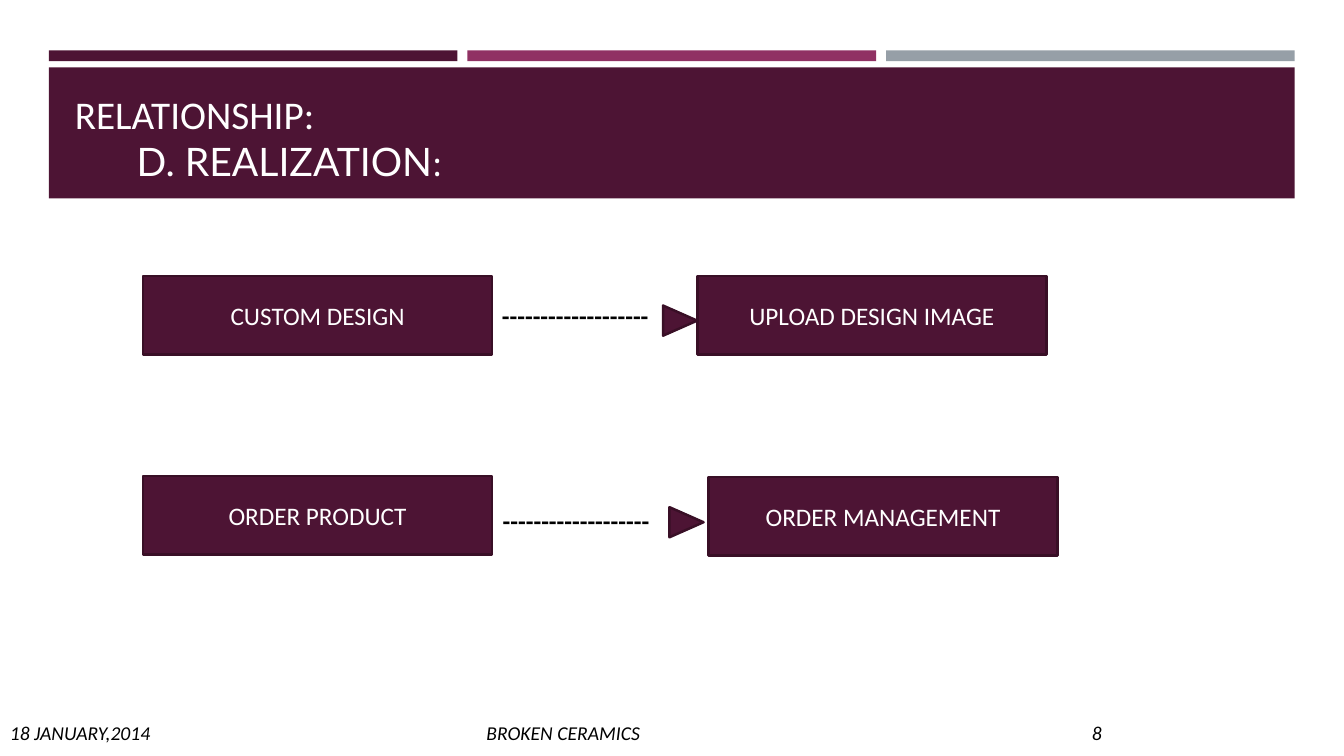
import pptx
import pptx.util
import pptx.dml.color
import pptx.enum.shapes
import pptx.enum.text
import pptx.oxml
import pptx.oxml.ns

Cm, Pt = pptx.util.Cm, pptx.util.Pt
MSO_SHAPE = pptx.enum.shapes.MSO_SHAPE
PP_ALIGN = pptx.enum.text.PP_ALIGN
MSO_ANCHOR = pptx.enum.text.MSO_ANCHOR
MSO_AUTO_SIZE = pptx.enum.text.MSO_AUTO_SIZE

COLORS = {
    "plum": "4D1434",
    "outline": "390F26",
    "magenta": "903163",
    "grey": "969FA7",
    "white": "FFFFFF",
    "black": "000000",
}


def rgb(name):
    return pptx.dml.color.RGBColor.from_string(COLORS[name])


def style(r, size, color, font="Calibri", bold=False, italic=False):
    r.font.size = Pt(size)
    r.font.name = font
    r.font.color.rgb = rgb(color)
    r.font.bold = bold
    r.font.italic = italic


def add_block(s, kind, x, y, w, h, fill, line=None):
    sp = s.shapes.add_shape(kind, Cm(x), Cm(y), Cm(w), Cm(h))
    sp.shadow.inherit = False
    sp.fill.solid()
    sp.fill.fore_color.rgb = rgb(fill)
    if line:
        sp.line.color.rgb = rgb(line)
        sp.line.width = Pt(1.75)
    else:
        sp.line.fill.background()
    return sp


def add_text(s, x, y, w, h, text, size, **look):
    sp = s.shapes.add_textbox(Cm(x), Cm(y), Cm(w), Cm(h))
    tf = sp.text_frame
    tf.word_wrap = True
    tf.text = text
    style(tf.paragraphs[0].runs[0], size, "black", **look)
    return tf.paragraphs[0]


def add_header(s, x, y, w):
    gap = 0.25
    bar_w = (w - 2 * gap) / 3
    title = s.shapes.title
    parts = [
        add_block(s, MSO_SHAPE.RECTANGLE, x + i * (bar_w + gap), y, bar_w, 0.27, color)
        for i, color in enumerate(("plum", "magenta", "grey"))
    ]
    parts.append(add_block(s, MSO_SHAPE.RECTANGLE, x, y + 0.43, w, 3.3, "plum"))
    for sp in parts:
        title.element.addprevious(sp.element)

    title.left, title.top = Cm(x + 0.4), Cm(y + 0.69)
    title.width, title.height = Cm(w - 0.8), Cm(2.82)
    tf = title.text_frame
    tf.auto_size = MSO_AUTO_SIZE.NONE
    tf.word_wrap = True
    tf.vertical_anchor = MSO_ANCHOR.BOTTOM
    lines = [
        [("RELATIONSHIP:", "Calibri")],
        [("D. REALIZATION", "Lato"), (":", "Cambria")],
    ]
    for i, runs in enumerate(lines):
        p = tf.add_paragraph() if i else tf.paragraphs[0]
        p.alignment = PP_ALIGN.LEFT
        for text, font in runs:
            r = p.add_run()
            r.text = text
            style(r, 28, "white", font)
    tf.paragraphs[1]._p.get_or_add_pPr().set("marL", str(Cm(1.56)))


def add_relation(s, x, y, names, target, dashes, arrow):
    for name, (dx, dy) in zip(names, ((0, 0), target)):
        sp = add_block(s, MSO_SHAPE.RECTANGLE, x + dx, y + dy, 8.79, 1.98, "plum", "outline")
        tf = sp.text_frame
        tf.text = name
        tf.vertical_anchor = MSO_ANCHOR.MIDDLE
        tf.paragraphs[0].alignment = PP_ALIGN.CENTER
        style(tf.paragraphs[0].runs[0], 18, "white")
    add_text(s, x + dashes[0], y + dashes[1], 5.31, 1.02, "-" * 19, 18, bold=True)
    sp = add_block(s, MSO_SHAPE.ISOSCELES_TRIANGLE, x + arrow[0], y + arrow[1],
                   0.76, 0.86, "plum", "outline")
    sp.rotation = 90


def add_footer(s, x, y, w):
    p = add_text(s, x, y, w, 0.86, "18 JANUARY,2014\tBROKEN CERAMICS\t8", 14, italic=True)
    stops = "".join(f'<a:tab pos="{Cm(pos)}" algn="l"/>' for pos in (12.01, 27.27))
    p._p.get_or_add_pPr().append(pptx.oxml.parse_xml(
        f'<a:tabLst {pptx.oxml.ns.nsdecls("a")}>{stops}</a:tabLst>'))


def main():
    prs = pptx.Presentation()
    prs.slide_width, prs.slide_height = Cm(33.87), Cm(19.05)
    s = prs.slides.add_slide(prs.slide_layouts[5])
    add_header(s, 1.23, 1.27, 31.4)
    add_relation(s, 3.61, 6.96, ("CUSTOM DESIGN", "UPLOAD DESIGN IMAGE"),
                 (13.97, 0), (8.79, 0.48), (13.15, 0.69))
    add_relation(s, 3.61, 11.99, ("ORDER PRODUCT", "ORDER MANAGEMENT"),
                 (14.25, 0.03), (8.81, 0.63), (13.31, 0.74))
    add_footer(s, 0, 18.03, 33.48)
    prs.save("out.pptx")


if __name__ == "__main__":
    main()
